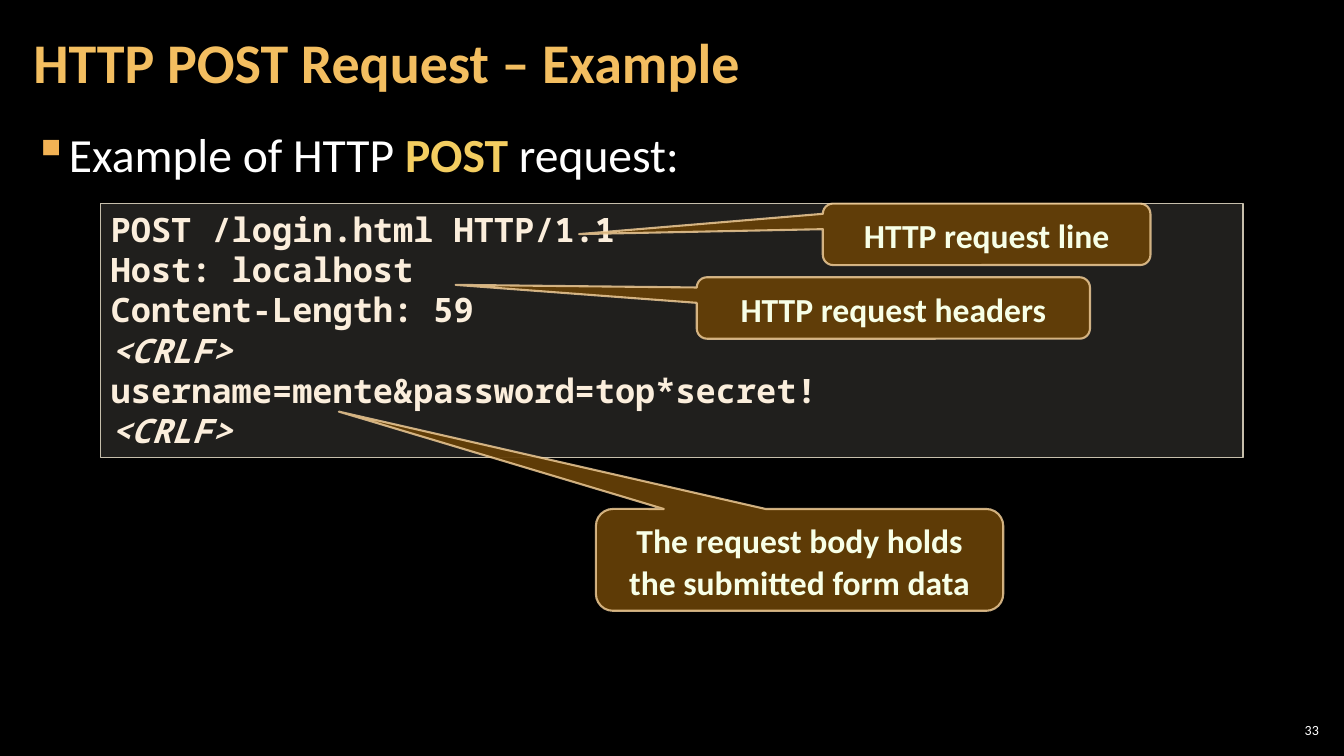
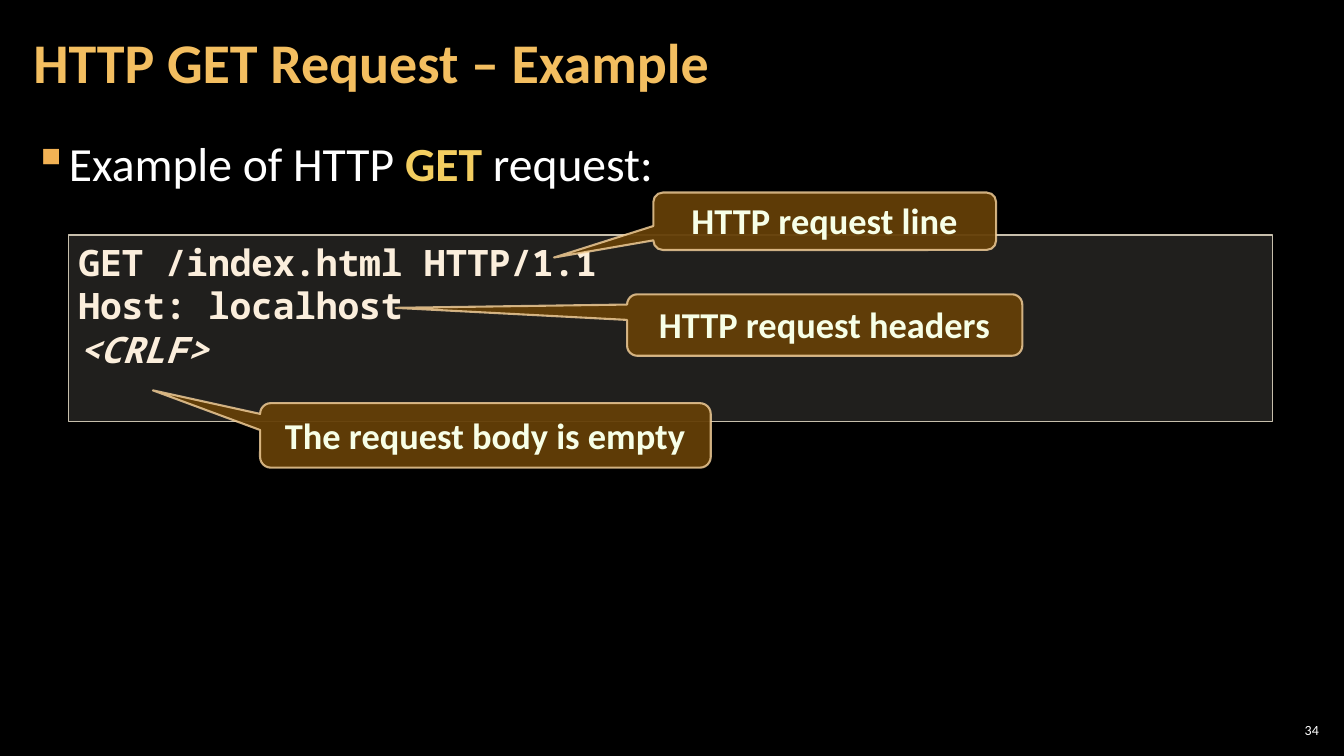
from dataclasses import dataclass

from lxml import etree
from pptx import Presentation
from pptx import util as u
from pptx.dml.color import RGBColor
from pptx.enum import shapes, text
from pptx.oxml.ns import qn

SLIDE_WIDTH, SLIDE_HEIGHT = u.Inches(13.33), u.Inches(7.5)

BLACK = RGBColor(0x00, 0x00, 0x00)
WHITE = RGBColor(0xFF, 0xFF, 0xFF)
TITLE_GOLD = RGBColor(0xF3, 0xBE, 0x60)
KEYWORD_GOLD = RGBColor(0xF3, 0xCD, 0x60)
BULLET_GOLD = RGBColor(0xF2, 0xB2, 0x54)
CODE_TEXT = RGBColor(0xFB, 0xEE, 0xDC)
CODE_FILL = RGBColor(0xD9, 0xD5, 0xC7)
CODE_LINE = RGBColor(0xC7, 0xBF, 0xAC)
CALLOUT_TEXT = RGBColor(0xF7, 0xFF, 0xE7)
CALLOUT_FILL = RGBColor(0x64, 0x3F, 0x07)
CALLOUT_LINE = RGBColor(0xF8, 0xD4, 0x9E)

BODY_FONT, CODE_FONT = "Calibri", "Noto Sans Mono"
SLIM_INSETS = (0.04, 0.04)
WIDE_INSETS = (0.12, 0.04)
SHAPE_INSETS = (0.1, 0.05)


@dataclass
class Box:
    """A region in percent of the slide's width and height."""
    left: float
    top: float
    width: float
    height: float

    def place(self):
        return (int(SLIDE_WIDTH * self.left / 100), int(SLIDE_HEIGHT * self.top / 100),
                int(SLIDE_WIDTH * self.width / 100), int(SLIDE_HEIGHT * self.height / 100))

    def adjust_to(self, x, y):
        """Offset of a point from the box's centre, in box sizes."""
        return ((x - self.left) / self.width - 0.5, (y - self.top) / self.height - 0.5)


TITLE_BOX = Box(1.58, 0.53, 80.36, 16.13)
NUMBER_BOX = Box(94.9, 95.2, 3.53, 2.8)


def add_bullet(paragraph, character, color, indent):
    properties = paragraph._p.get_or_add_pPr()
    properties.set("marL", str(u.Inches(indent)))
    properties.set("indent", str(-u.Inches(indent)))
    bullet_color = etree.SubElement(properties, qn("a:buClr"))
    etree.SubElement(bullet_color, qn("a:srgbClr")).set("val", str(color))
    etree.SubElement(properties, qn("a:buChar")).set("char", character)


def write(shape, lines, *, size, color, font=BODY_FONT, bold=False, align=text.PP_ALIGN.LEFT,
          anchor=text.MSO_ANCHOR.TOP, insets=SHAPE_INSETS, spacing=None, bullet=None,
          tracking=0):
    """Each line is a list of (text, changes) runs."""
    frame = shape.text_frame
    frame.word_wrap = True
    frame.vertical_anchor = anchor
    frame.margin_left = frame.margin_right = u.Inches(insets[0])
    frame.margin_top = frame.margin_bottom = u.Inches(insets[1])
    for index, line in enumerate(lines):
        paragraph = frame.add_paragraph() if index else frame.paragraphs[0]
        paragraph.alignment = align
        if spacing:
            paragraph.line_spacing = spacing
        if bullet:
            add_bullet(paragraph, bullet, BULLET_GOLD, 0.33)
        for words, changes in line:
            run = paragraph.add_run()
            run.text = words
            run.font.name = font
            run.font.size = u.Pt(size)
            run.font.bold = changes.get("bold", bold)
            run.font.italic = changes.get("italic", False)
            run.font.color.rgb = changes.get("color", color)
            if tracking:
                run.font._element.set("spc", str(round(tracking * 100)))


def add_text(slide, box, lines, **style):
    write(slide.shapes.add_textbox(*box.place()), lines, **style)


def add_panel(slide, kind, box, fill, line, line_width, fill_opacity, line_opacity=100):
    shape = slide.shapes.add_shape(kind, *box.place())
    shape.shadow.inherit = False
    shape.fill.solid()
    shape.fill.fore_color.rgb = fill
    shape.line.color.rgb = line
    shape.line.width = u.Pt(line_width)
    colors = shape.element.spPr.iter(qn("a:srgbClr"))
    for color, opacity in zip(list(colors), (fill_opacity, line_opacity)):
        etree.SubElement(color, qn("a:alpha")).set("val", str(opacity * 1000))
    return shape


def add_code(slide, box, lines, size, tracking):
    shape = add_panel(slide, shapes.MSO_SHAPE.RECTANGLE, box, CODE_FILL, CODE_LINE, 1, 15)
    runs = [[(line, {"italic": line == "<CRLF>"})] for line in lines]
    write(shape, runs, size=size, color=CODE_TEXT, font=CODE_FONT, bold=True,
          tracking=tracking)


def add_callout(slide, box, tip, words, size):
    shape = add_panel(slide, shapes.MSO_SHAPE.ROUNDED_RECTANGULAR_CALLOUT, box,
                      CALLOUT_FILL, CALLOUT_LINE, 1.5, 95, 80)
    shape.adjustments[0], shape.adjustments[1] = box.adjust_to(*tip)
    write(shape, [[(words, {})]], size=size, color=CALLOUT_TEXT, bold=True,
          align=text.PP_ALIGN.CENTER, anchor=text.MSO_ANCHOR.MIDDLE, spacing=u.Pt(30))


def add_request_slide(presentation, number, method, intro_box, code_box, code, callouts,
                      size, tracking=0):
    slide = presentation.slides.add_slide(presentation.slide_layouts[6])
    # Page number, intro line and title
    add_text(slide, NUMBER_BOX, [[(str(number), {})]], size=10, color=WHITE,
             align=text.PP_ALIGN.RIGHT, anchor=text.MSO_ANCHOR.MIDDLE, insets=SLIM_INSETS)
    intro = [("Example of HTTP ", {}), (method, {"bold": True, "color": KEYWORD_GOLD}),
             (" request:", {})]
    add_text(slide, intro_box, [intro], size=34, color=WHITE, insets=WIDE_INSETS,
             spacing=1.05, bullet="▪")
    add_text(slide, TITLE_BOX, [[(f"HTTP {method} Request – Example", {})]], size=40,
             color=TITLE_GOLD, bold=True, anchor=text.MSO_ANCHOR.MIDDLE,
             insets=WIDE_INSETS, spacing=0.9)
    # Request code and its callouts
    add_code(slide, code_box, code, size, tracking)
    for box, tip, words in callouts:
        add_callout(slide, box, tip, words, size)


def main():
    presentation = Presentation()
    presentation.slide_width, presentation.slide_height = SLIDE_WIDTH, SLIDE_HEIGHT
    background = presentation.slide_master.background.fill
    background.solid()
    background.fore_color.rgb = BLACK

    add_request_slide(
        presentation, 33, "POST", Box(1.58, 15.6, 96.85, 81.2), Box(7.5, 26.93, 85, 33.6),
        ["POST /login.html HTTP/1.1", "Host: localhost", "Content-Length: 59", "<CRLF>",
         "username=mente&password=top*secret!", "<CRLF>"],
        [(Box(61.22, 26.93, 24.38, 8.13), (43.08, 30.97), "HTTP request line"),
         (Box(51.84, 36.67, 29.26, 8.13), (33.9, 37.68), "HTTP request headers"),
         (Box(44.34, 67.33, 30.31, 13.47), (25.21, 54.45),
          "The request body holds the submitted form data")],
        size=24)

    add_request_slide(
        presentation, 34, "GET", Box(1.58, 16.8, 96.85, 81.2), Box(5.1, 31.07, 89.57, 24.67),
        ["GET /index.html HTTP/1.1", "Host: localhost", "<CRLF>"],
        [(Box(48.61, 25.47, 25.51, 7.6), (41.22, 34.07), "HTTP request line"),
         (Box(46.66, 38.93, 29.41, 8.13), (29.43, 40.72), "HTTP request headers"),
         (Box(19.35, 53.33, 33.53, 8.53), (11.37, 51.63), "The request body is empty")],
        size=26, tracking=-0.2)

    presentation.save("out.pptx")


if __name__ == "__main__":
    main()
